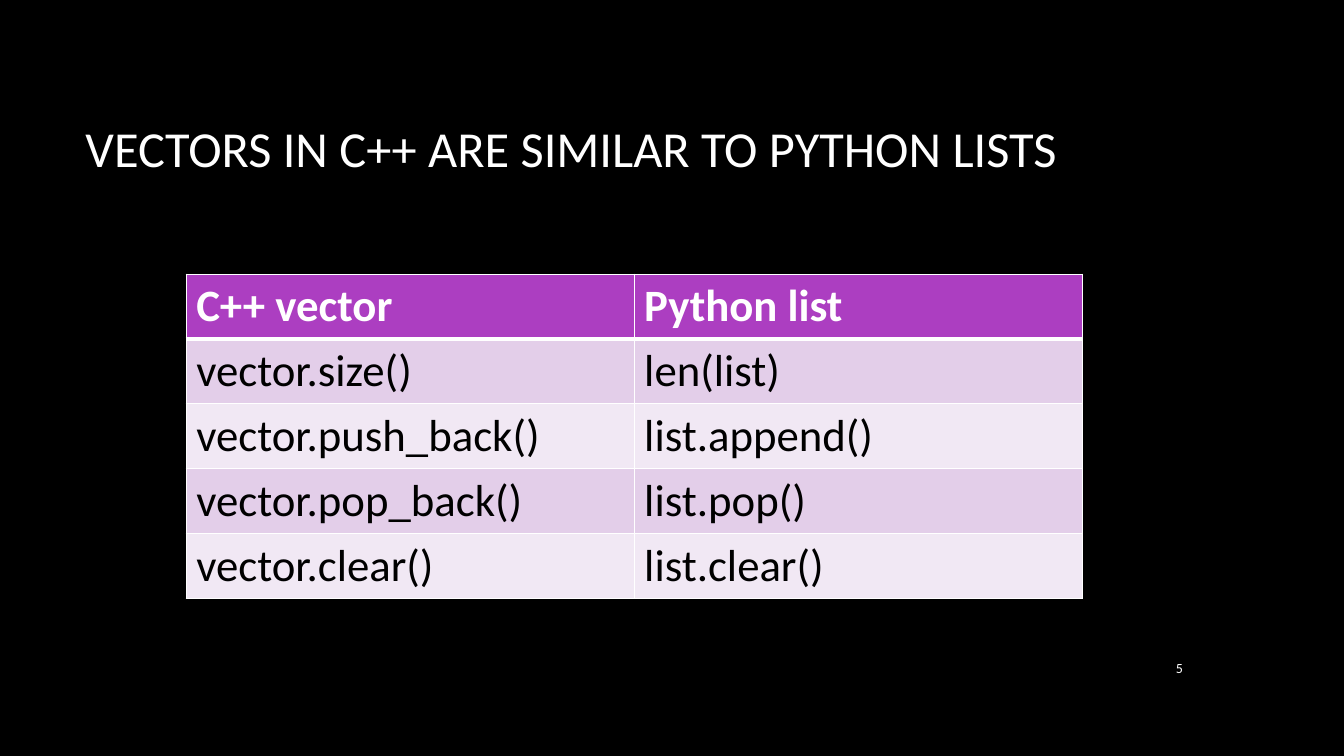
from lxml.etree import SubElement as Sub
from pptx import Presentation
from pptx.dml.color import RGBColor as Rgb
from pptx.enum.text import MSO_ANCHOR as Anchor, PP_ALIGN as Align
from pptx.oxml.ns import qn
from pptx.util import Pt

HUES = {"back": "000000", "white": "FFFFFF", "black": "000000",
        "head": "AC3EC1", "odd": "E3CEE9", "even": "F1E8F4"}
ROWS = [("C++ vector", "Python list"),
        ("vector.size()", "len(list)"),
        ("vector.push_back()", "list.append()"),
        ("vector.pop_back()", "list.pop()"),
        ("vector.clear()", "list.clear()")]


def paint(fill, hue):
    """Give a fill one solid colour."""
    fill.solid()
    fill.fore_color.rgb = Rgb.from_string(HUES[hue])


def write(frame, text, size, hue, bold=False, align=Align.LEFT):
    """Set the text of a frame and format it."""
    frame.text = text
    para = frame.paragraphs[0]
    para.alignment = align
    font = para.runs[0].font
    font.name, font.size, font.bold = "Calibri", Pt(size), bold
    font.color.rgb = Rgb.from_string(HUES[hue])


def add_text(slide, box, text, size, align=Align.LEFT):
    """Add a white text box, centred vertically."""
    frame = slide.shapes.add_textbox(*map(Pt, box)).text_frame
    frame.word_wrap = True
    frame.vertical_anchor = Anchor.MIDDLE
    write(frame, text, size, "white", align=align)


def edge(cell, sides):
    """Draw white borders, given a width for each side."""
    props = cell._tc.get_or_add_tcPr()
    for spot, (side, width) in enumerate(sides.items()):
        line = props.makeelement(qn(f"a:ln{side}"), {"w": str(Pt(width))})
        fill = Sub(line, qn("a:solidFill"))
        Sub(fill, qn("a:srgbClr"), val=HUES["white"])
        props.insert(spot, line)


def add_grid(slide, left, top, width, height):
    """Add the table with a header and banded rows."""
    grid = slide.shapes.add_table(len(ROWS), len(ROWS[0]), Pt(left), Pt(top),
                                  Pt(width), Pt(height)).table
    for i, row in enumerate(ROWS):
        head = i == 0
        for j, text in enumerate(row):
            cell = grid.cell(i, j)
            write(cell.text_frame, text, 32, "white" if head else "black", head)
            paint(cell.fill, "head" if head else "odd" if i % 2 else "even")
            edge(cell, {"L": 1, "R": 1, "T": 3 if i == 1 else 1,
                        "B": 3 if head else 1})


def main():
    """Build the slide and save it."""
    deck = Presentation()
    deck.slide_width, deck.slide_height = Pt(960), Pt(540)
    slide = deck.slides.add_slide(deck.slide_layouts[6])
    paint(slide.background.fill, "back")
    add_text(slide, (54, 48, 798, 114.5),
             "VECTORS IN C++ ARE SIMILAR TO PYTHON LISTS", 36)
    add_text(slide, (808.5, 462.5, 43.5, 29.5), "5", 10, Align.RIGHT)
    add_grid(slide, 133, 195.8, 640, 231.5)
    deck.save("out.pptx")


if __name__ == "__main__":
    main()
